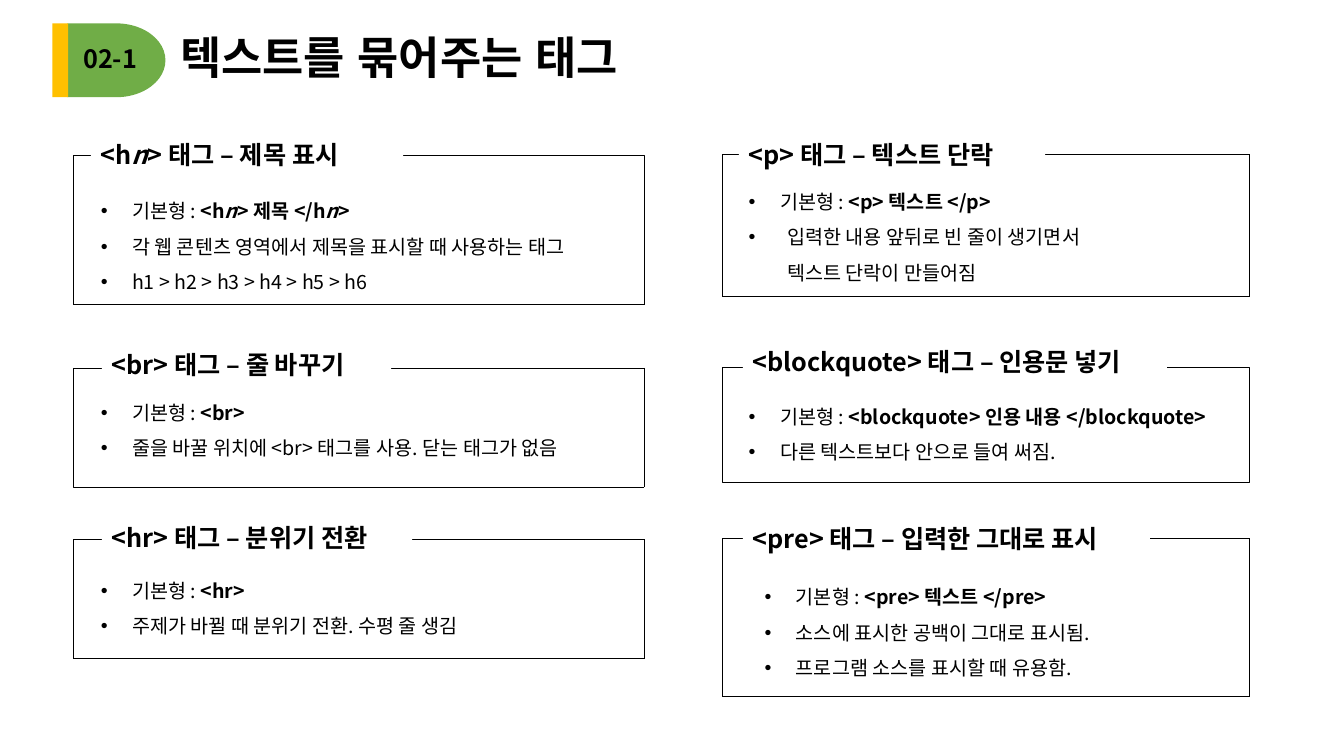
from lxml import etree
from pptx import Presentation
from pptx import util as u
from pptx.dml.color import RGBColor
from pptx.enum import dml, shapes, text
from pptx.oxml import ns

HUES = {"ink": "000000", "paper": "FFFFFF", "leaf": "70AD47", "sun": "FFC000"}
SANS = "Noto Sans CJK KR"
HEAD = {"name": SANS, "size": u.Pt(18), "bold": True}
BODY = {"name": SANS, "size": u.Pt(14), "bold": False}
CODE = {**BODY, "bold": True}
TITLE = {"name": "Arial", "size": u.Pt(32), "bold": True}


def write(para, words, look):
    """Add runs to a paragraph; words between underscores are italic."""
    for i, part in enumerate(words.split("_")):
        for j, line in enumerate(part.split("\n")):
            if j:
                para.add_line_break()
            run = para.add_run()
            run.text = line
            for key, value in look.items():
                setattr(run.font, key, value)
            if i % 2:
                run.font.italic = True
            run.font.color.rgb = RGBColor.from_string(HUES["ink"])
            east = etree.SubElement(run.font._element, ns.qn("a:ea"))
            east.set("typeface", look["name"])


def add_box(left, top, width, height, fit=text.MSO_AUTO_SIZE.SHAPE_TO_FIT_TEXT):
    box = slide.shapes.add_textbox(*map(u.Cm, (left, top, width, height)))
    box.text_frame.word_wrap = True
    box.text_frame.auto_size = fit
    return box


deck = Presentation()
deck.slide_width, deck.slide_height = u.Cm(33.87), u.Cm(19.05)
slide = deck.slides.add_slide(deck.slide_layouts[6])

# Number badge and title
KIND = shapes.MSO_SHAPE
for kind, left, width, hue in (
    (KIND.FLOWCHART_DELAY, 1.7, 2.47, "leaf"),
    (KIND.RECTANGLE, 1.32, 0.4, "sun"),
):
    badge = slide.shapes.add_shape(kind, *map(u.Cm, (left, 0.59, width, 1.86)))
    badge.shadow.inherit = False
    badge.fill.solid()
    badge.fill.fore_color.rgb = RGBColor.from_string(HUES[hue])
    badge.line.fill.background()

title = add_box(4.29, 0.59, 25.25, 1.86, text.MSO_AUTO_SIZE.NONE).text_frame
title.vertical_anchor = text.MSO_ANCHOR.MIDDLE
title.paragraphs[0].line_spacing = 0.9
write(title.paragraphs[0], "텍스트를 묶어주는 태그", TITLE)
write(add_box(1.85, 0.97, 2.2, 1.03).text_frame.paragraphs[0], "02-1", HEAD)

# Each card: frame (top, height), label (left, top, width, words),
# list (left, top, width, height), code, and lines as (indent, words)
LEFT = [
    ((3.91, 3.76), (2.29, 3.38, 7.87, "<h_n_> 태그 – 제목 표시"),
     (2.29, 4.6, 15.24, 3.45), "<h_n_> 제목 </h_n_>",
     [(0.79, "각 웹 콘텐츠 영역에서 제목을 표시할 때 사용하는 태그"),
      (0.79, "h1 > h2 > h3 > h4 > h5 > h6")]),
    ((9.27, 3), (2.57, 8.69, 7.29, "<br> 태그 – 줄 바꾸기"),
     (2.29, 9.68, 15.24, 2.06), "<br>",
     [(0.79, "줄을 바꿀 위치에 <br> 태그를 사용. 닫는 태그가 없음")]),
    ((13.59, 3), (2.57, 13.03, 7.82, "<hr> 태그 – 분위기 전환"),
     (2.29, 14.17, 15.24, 2.06), "<hr>",
     [(0.79, "주제가 바뀔 때 분위기 전환. 수평 줄 생김")]),
]
RIGHT = [
    ((3.89, 3.58), (18.62, 3.38, 7.72, "<p> 태그 – 텍스트 단락"),
     (18.62, 4.37, 10.87, 2.95), "<p> 텍스트 </p>",
     [(0.97, "입력한 내용 앞뒤로 빈 줄이 생기면서\n텍스트 단락이 만들어짐")]),
    ((9.25, 2.9), (18.72, 8.61, 10.69, "<blockquote> 태그 – 인용문 넣기"),
     (18.62, 9.78, 15.24, 2.06), "<blockquote> 인용 내용 </blockquote>",
     [(0.79, "다른 텍스트보다 안으로 들여 써짐.")]),
    ((13.56, 3.99), (18.72, 13.06, 10.26, "<pre> 태그 – 입력한 그대로 표시"),
     (19.02, 14.33, 15.24, 3.45), "<pre> 텍스트 </pre>",
     [(0.79, "소스에 표시한 공백이 그대로 표시됨."),
      (0.79, "프로그램 소스를 표시할 때 유용함.")]),
]

for start, span, cards in ((1.85, 14.38, LEFT), (18.21, 13.26, RIGHT)):
    for (top, height), (x, y, width, words), place, code, lines in cards:
        frame = slide.shapes.add_shape(
            KIND.RECTANGLE, *map(u.Cm, (start, top, span, height)))
        frame.shadow.inherit = False
        frame.fill.background()
        frame.line.color.rgb = RGBColor.from_string(HUES["ink"])
        frame.line.width = u.Pt(0.25)
        frame.line.dash_style = dml.MSO_LINE.ROUND_DOT

        label = add_box(x, y, width, 1.03)
        label.fill.solid()
        label.fill.fore_color.rgb = RGBColor.from_string(HUES["paper"])
        write(label.text_frame.paragraphs[0], words, HEAD)

        body = add_box(*place).text_frame
        for i, (indent, line) in enumerate([(0.79, "기본형 : "), *lines]):
            para = body.add_paragraph() if i else body.paragraphs[0]
            para.line_spacing = 1.5
            props = para._p.get_or_add_pPr()
            props.set("marL", str(u.Cm(indent)))
            props.set("indent", str(-u.Cm(indent)))
            etree.SubElement(props, ns.qn("a:buFont")).set("typeface", "Arial")
            etree.SubElement(props, ns.qn("a:buChar")).set("char", "•")
            write(para, line, BODY)
            if i == 0:
                write(para, code, CODE)

deck.save("out.pptx")
